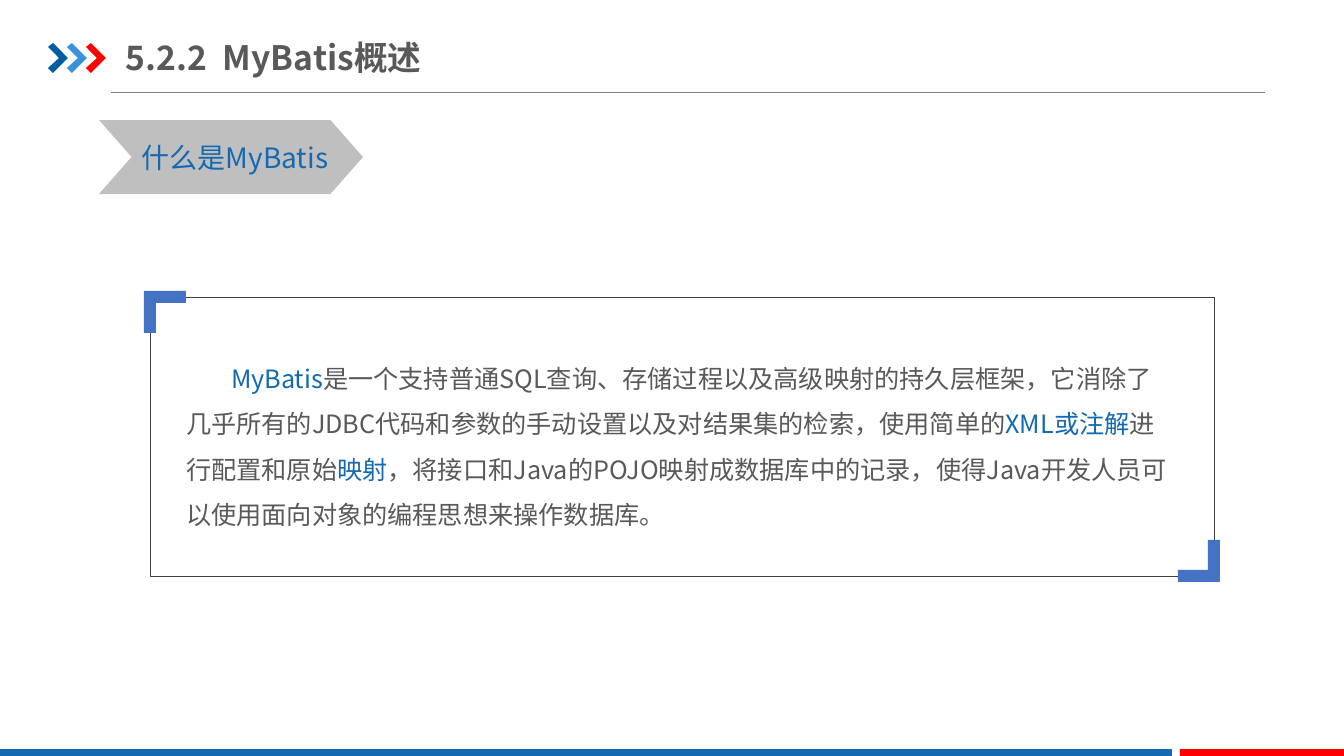
"""Build the slide that introduces MyBatis."""
from dataclasses import dataclass

from lxml import etree
from pptx import Presentation
from pptx import util as u
from pptx.dml.color import RGBColor
from pptx.enum import shapes, text
from pptx.oxml import ns

TITLE = "5.2.2\tMyBatis概述"
TOPIC = "什么是MyBatis"
DEFINITION = [
    ("MyBatis", "accent"),
    ("是一个支持普通SQL查询、存储过程以及高级映射的持久层框架，它消除了几乎所有的JDBC代码和参数的手动设置以及对结果集的检索，使用简单的", "ink"),
    ("XML或注解", "accent"),
    ("进行配置和原始", "ink"),
    ("映射", "accent"),
    ("，将接口和Java的POJO映射成数据库中的记录，使得Java开发人员可以使用面向对象的编程思想来操作数据库。", "ink"),
]
TITLE_BOX = (126, 29, 445, 56)
TITLE_TAB = 97
TITLE_RULE = (111, 92, 1265, 92)
TOPIC_BOX = (99, 120, 264, 74)
DEFINITION_BOX = (176, 343, 1002, 201)
FIRST_LINE_INDENT = 45
FRAME = (150, 297, 1064, 279)
FOOTER_BARS = [((0, 749, 1172, 9), "accent"), ((1180, 749, 164, 9), "red")]
ARROW_COLORS = ["navy", "sky", "red"]
ARROW_LEFT, ARROW_TOP, ARROW_STEP = 48, 43, 19
ARROW = [(0, 4), (5, 0), (20, 15), (5, 30), (0, 25), (11, 15)]
CORNER = [(0, 0), (42, 0), (42, 12), (12, 12), (12, 42), (0, 42)]
CORNER_OVERHANG = 6


@dataclass(frozen=True)
class Theme:
    """Colours, typeface and type sizes of the slide."""
    ink: str = "595959"
    accent: str = "1369B2"
    red: str = "FF0000"
    navy: str = "005DA2"
    sky: str = "3992DB"
    corner: str = "4472C4"
    banner: str = "BFBFBF"
    frame: str = "404040"
    rule: str = "808080"
    face: str = "Noto Sans CJK SC"
    title_size: int = 24
    topic_size: int = 20
    body_size: int = 18


THEME = Theme()
SCALE = 914400 / 100.8


def px(length):
    """Turn pixels into EMU."""
    return u.Emu(round(length * SCALE))


def color(name):
    """Look up a theme colour."""
    return RGBColor.from_string(getattr(THEME, name))


def add_text(paragraph, words, size, ink, bold=False):
    """Append one styled run."""
    run = paragraph.add_run()
    run.text = words
    run.font.size, run.font.bold = u.Pt(size), bold
    run.font.name = THEME.face
    run.font.color.rgb = color(ink)
    east_asian = etree.SubElement(run.font._element, ns.qn("a:ea"))
    east_asian.set("typeface", THEME.face)


def place(holder, box, insets):
    """Move a placeholder and set up its text frame."""
    holder.left, holder.top, holder.width, holder.height = map(px, box)
    frame = holder.text_frame
    frame.word_wrap, frame.auto_size = True, text.MSO_AUTO_SIZE.NONE
    frame.margin_left = frame.margin_right = px(insets[0])
    frame.margin_top = frame.margin_bottom = px(insets[1])
    return frame


def paint(shape, fill):
    """Give a shape a plain fill without line or shadow."""
    shape.shadow.inherit = False
    shape.fill.solid()
    shape.fill.fore_color.rgb = color(fill)
    shape.line.fill.background()
    return shape


def add_preset(slide, kind, box, fill):
    """Add a filled preset shape."""
    return paint(slide.shapes.add_shape(kind, *map(px, box)), fill)


def add_outline(slide, points, left, top, fill):
    """Add a filled polygon at a place in pixels."""
    first, *rest = [(left + x, top + y) for x, y in points]
    builder = slide.shapes.build_freeform(*first, scale=SCALE)
    builder.add_line_segments(rest, close=True)
    return paint(builder.convert_to_shape(), fill)


def add_header(slide):
    """Add the title, its rule and the three arrows."""
    frame = place(slide.shapes.title, TITLE_BOX, (0, 7))
    frame.vertical_anchor = text.MSO_ANCHOR.MIDDLE
    heading = frame.paragraphs[0]
    heading.alignment = text.PP_ALIGN.LEFT
    tabs = etree.SubElement(heading._p.get_or_add_pPr(), ns.qn("a:tabLst"))
    etree.SubElement(tabs, ns.qn("a:tab"), pos=str(px(TITLE_TAB)), algn="l")
    add_text(heading, TITLE, THEME.title_size, "ink", bold=True)

    rule = slide.shapes.add_connector(shapes.MSO_CONNECTOR.STRAIGHT, *map(px, TITLE_RULE))
    rule.line.color.rgb, rule.line.width = color("rule"), u.Pt(0.5)
    etree.SubElement(rule._element.spPr, ns.qn("a:effectLst"))
    for i, fill in enumerate(ARROW_COLORS):
        add_outline(slide, ARROW, ARROW_LEFT + i * ARROW_STEP, ARROW_TOP, fill)


def add_topic(slide):
    """Add the chevron banner with the topic."""
    banner = add_preset(slide, shapes.MSO_SHAPE.CHEVRON, TOPIC_BOX, "banner")
    banner.adjustments[0] = 0.44
    frame = banner.text_frame
    frame.word_wrap = False
    frame.vertical_anchor = text.MSO_ANCHOR.MIDDLE
    frame.margin_left, frame.margin_right = px(8), 0
    frame.paragraphs[0].alignment = text.PP_ALIGN.CENTER
    add_text(frame.paragraphs[0], TOPIC, THEME.topic_size, "accent")


def add_definition(slide):
    """Add the definition inside its frame with two corner marks."""
    frame = place(slide.placeholders[1], DEFINITION_BOX, (10, 5))
    frame.vertical_anchor = text.MSO_ANCHOR.TOP
    definition = frame.paragraphs[0]
    definition.line_spacing, definition.space_before = 1.5, u.Pt(0)
    definition.alignment = text.PP_ALIGN.LEFT
    properties = definition._p.get_or_add_pPr()
    properties.set("marL", "0")
    properties.set("indent", str(px(FIRST_LINE_INDENT)))
    etree.SubElement(properties, ns.qn("a:buNone"))
    for words, ink in DEFINITION:
        add_text(definition, words, THEME.body_size, ink)

    border = slide.shapes.add_shape(shapes.MSO_SHAPE.RECTANGLE, *map(px, FRAME))
    border.shadow.inherit = False
    border.fill.background()
    border.line.color.rgb, border.line.width = color("frame"), u.Pt(0.25)
    left, top, width, height = FRAME
    near = (left - CORNER_OVERHANG, top - CORNER_OVERHANG)
    far = (left + width + CORNER_OVERHANG, top + height + CORNER_OVERHANG)
    for origin, sign in ((near, 1), (far, -1)):
        points = [(sign * x, sign * y) for x, y in CORNER]
        add_outline(slide, points, *origin, "corner")


def main():
    """Build and save the deck."""
    deck = Presentation()
    deck.slide_width, deck.slide_height = px(1344), px(756)
    slide = deck.slides.add_slide(deck.slide_layouts[1])
    add_header(slide)
    for box, fill in FOOTER_BARS:
        add_preset(slide, shapes.MSO_SHAPE.RECTANGLE, box, fill)
    add_topic(slide)
    add_definition(slide)
    deck.save("out.pptx")


if __name__ == "__main__":
    main()
